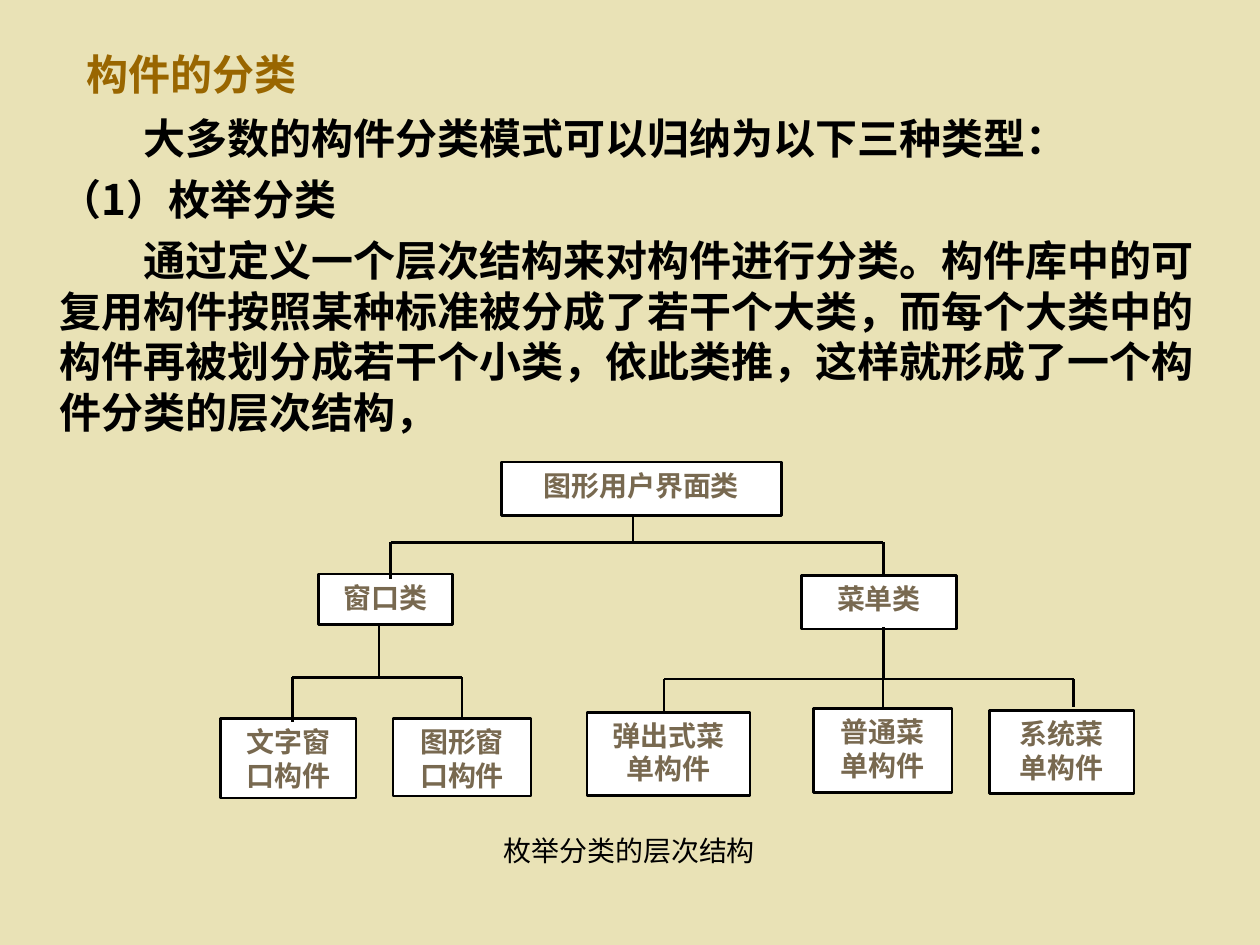
import pptx
import pptx.dml.color
import pptx.enum.shapes
import pptx.enum.text
import pptx.util
from lxml import etree
from pptx.oxml.ns import qn

Pt = pptx.util.Pt
PP_ALIGN = pptx.enum.text.PP_ALIGN
ANCHOR = pptx.enum.text.MSO_ANCHOR

CJK_FONT = "Noto Sans CJK SC"
LATIN_FONT = "Times New Roman"
BLACK, WHITE, GOLD, BROWN, SAND = "000000", "FFFFFF", "996600", "786950", "E9E2B6"
LINE_WIDTH = 1.5
BOTTOM_SIDE, TOP_SIDE = 2, 0

TITLE = "构件的分类"
BODY = [  # text, first-line indent
    ("大多数的构件分类模式可以归纳为以下三种类型：", 48),
    ("（1）枚举分类", 0),
    ("通过定义一个层次结构来对构件进行分类。构件库中的可复用构件按照某种标准被分成了"
     "若干个大类，而每个大类中的构件再被划分成若干个小类，依此类推，这样就形成了一个构"
     "件分类的层次结构，", 48),
]
CAPTION = "枚举分类的层次结构"

CLASSES = {  # key: (lines, left, top, width, height)
    "gui": (["图形用户界面类"], 286.5, 264, 160, 30.5),
    "window": (["窗口类"], 182, 328, 76.5, 29),
    "menu": (["菜单类"], 458, 329, 88.5, 30.5),
    "graphic window": (["图形窗", "口构件"], 224.5, 410.5, 79, 44.5),
    "text window": (["文字窗口构件"], 126, 410.5, 77.5, 45.5),
    "system menu": (["系统菜", "单构件"], 565.5, 406, 82.5, 47.5),
    "popup menu": (["弹出式菜", "单构件"], 335.5, 407, 93, 47.5),
    "normal menu": (["普通菜", "单构件"], 465, 405, 79, 48),
}

BRANCHES = [  # stem x, stem top, bar y, drops (x, bottom, class joined at its top)
    (361.75, 294.5, 310, [(223.25, 331, None), (504.75, 328.5, None)]),
    (216.5, 358, 387, [(167, 412.5, None), (264, 410.5, "graphic window")]),
    (504.75, 358.5, 388, [(379.5, 407.5, None), (504.5, 405, "normal menu"),
                          (613.5, 404, None)]),
]


def rgb(code):
    return pptx.dml.color.RGBColor.from_string(code)


def write(frame, paragraphs, size=16, color=BLACK, bold=False, font=CJK_FONT,
          align=PP_ALIGN.LEFT, anchor=ANCHOR.TOP, space_before=0):
    """Fill a frame with (text, first-line indent) paragraphs."""
    frame.word_wrap = True
    frame.vertical_anchor = anchor
    for index, (text, indent) in enumerate(paragraphs):
        paragraph = frame.add_paragraph() if index else frame.paragraphs[0]
        paragraph.alignment = align
        if index:
            paragraph.space_before = Pt(space_before)
        if indent:
            properties = paragraph._p.get_or_add_pPr()
            properties.set("marL", "0")
            properties.set("indent", str(Pt(indent)))
        run = paragraph.add_run()
        run.text = text
        run.font.size = Pt(size)
        run.font.bold = bold
        run.font.name = font
        run.font.color.rgb = rgb(color)
        east_asian = etree.SubElement(run._r.get_or_add_rPr(), qn("a:ea"))
        east_asian.set("typeface", CJK_FONT)


def add_text(slide, bounds, paragraphs, **style):
    box = slide.shapes.add_textbox(*map(Pt, bounds))
    write(box.text_frame, paragraphs, **style)


def add_class(slide, lines, *bounds):
    box = slide.shapes.add_shape(
        pptx.enum.shapes.MSO_SHAPE.RECTANGLE, *map(Pt, bounds))
    box.shadow.inherit = False
    box.fill.solid()
    box.fill.fore_color.rgb = rgb(WHITE)
    box.line.color.rgb = rgb(BLACK)
    box.line.width = Pt(LINE_WIDTH)
    write(box.text_frame, [(line, 0) for line in lines], color=BROWN, bold=True,
          font=LATIN_FONT, align=PP_ALIGN.CENTER)
    return box


def add_line(slide, x1, y1, x2, y2):
    line = slide.shapes.add_connector(
        pptx.enum.shapes.MSO_CONNECTOR.STRAIGHT, *map(Pt, (x1, y1, x2, y2)))
    line.line.color.rgb = rgb(BLACK)
    line.line.width = Pt(LINE_WIDTH)
    etree.SubElement(line._element.spPr, qn("a:effectLst"))
    return line


def add_branch(slide, boxes, stem_x, stem_top, bar_y, drops):
    add_line(slide, stem_x, stem_top, stem_x, bar_y)
    add_line(slide, drops[0][0], bar_y, drops[-1][0], bar_y)
    for x, bottom, child in drops:
        drop = add_line(slide, x, bar_y, x, bottom)
        if child:
            drop.end_connect(boxes[child], TOP_SIDE)


def main():
    deck = pptx.Presentation()
    deck.slide_width, deck.slide_height = Pt(720), Pt(540)
    slide = deck.slides.add_slide(deck.slide_layouts[6])
    slide.background.fill.solid()
    slide.background.fill.fore_color.rgb = rgb(SAND)

    add_text(slide, (42.5, 15, 612, 54), [(TITLE, 0)], size=24, color=GOLD,
             bold=True, anchor=ANCHOR.MIDDLE)
    add_text(slide, (27, 61, 666, 192), BODY, size=24, bold=True, space_before=6)
    boxes = {key: add_class(slide, *entry) for key, entry in CLASSES.items()}
    for branch in BRANCHES:
        add_branch(slide, boxes, *branch)
    add_text(slide, (224, 473, 271.5, 26.5), [(CAPTION, 0)], align=PP_ALIGN.CENTER)
    deck.save("out.pptx")


if __name__ == "__main__":
    main()
